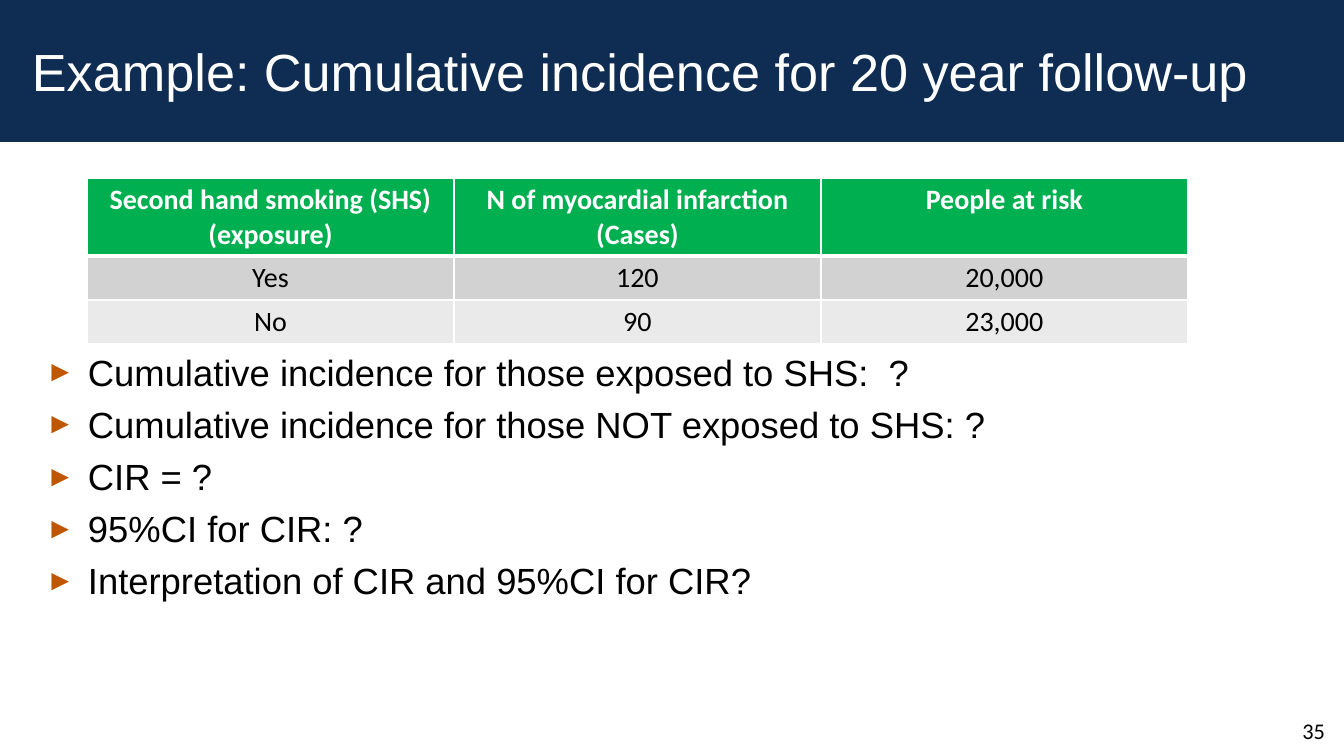
from dataclasses import dataclass

from lxml import etree
from pptx import Presentation
from pptx import util as u
from pptx.dml import color
from pptx.enum import shapes, text
from pptx.oxml import ns

EMU_PER_PX = 914400 / 100.8


def px(length):
    return u.Emu(round(length * EMU_PER_PX))


@dataclass(frozen=True)
class Theme:
    navy: str = "0F2C52"
    white: str = "FFFFFF"
    black: str = "000000"
    green: str = "00B050"
    orange: str = "BF5700"
    bands: tuple = ("D2D2D2", "EAEAEA")
    heading_font: str = "Arial"
    table_font: str = "Calibri"
    title_size: float = 37.3
    bullet_size: int = 26
    table_size: int = 20
    number_size: int = 16


def paint(fill, hex_color):
    fill.solid()
    fill.fore_color.rgb = color.RGBColor.from_string(hex_color)


def add_child(parent, tag, **attributes):
    return etree.SubElement(parent, ns.qn(tag), attributes)


class SlideBuilder:
    def __init__(self, slide, theme):
        self.slide = slide
        self.theme = theme

    def style(self, paragraph, font, size, hex_color, align=text.PP_ALIGN.LEFT, bold=False):
        paragraph.alignment = align
        for run in paragraph.runs:
            run.font.name = font
            run.font.size = u.Pt(size)
            run.font.bold = bold
            run.font.color.rgb = color.RGBColor.from_string(hex_color)

    def band(self, left, top, width, height, hex_color):
        band = self.slide.shapes.add_shape(
            shapes.MSO_SHAPE.RECTANGLE, px(left), px(top), px(width), px(height))
        band.shadow.inherit = False
        paint(band.fill, hex_color)
        band.line.fill.background()

    def text_box(self, box, content, font, size, hex_color, anchor,
                 align=text.PP_ALIGN.LEFT, inset=(10, 5)):
        frame = self.slide.shapes.add_textbox(*map(px, box)).text_frame
        frame.word_wrap = True
        frame.vertical_anchor = anchor
        frame.margin_left = frame.margin_right = px(inset[0])
        frame.margin_top = frame.margin_bottom = px(inset[1])
        frame.text = content
        for paragraph in frame.paragraphs:
            self.style(paragraph, font, size, hex_color, align)
        return frame

    def bullets(self, box, questions):
        theme = self.theme
        frame = self.text_box(box, "\n".join(questions), theme.heading_font,
                              theme.bullet_size, theme.black, text.MSO_ANCHOR.TOP)
        for paragraph in frame.paragraphs:
            paragraph.space_before = u.Pt(6)
            props = paragraph._p.get_or_add_pPr()
            props.set("marL", str(px(42)))
            props.set("indent", str(-px(42)))
            add_child(add_child(props, "a:buClr"), "a:srgbClr", val=theme.orange)
            add_child(props, "a:buSzPct", val="80000")
            add_child(props, "a:buFont", typeface=theme.heading_font)
            add_child(props, "a:buChar", char="►")

    def borders(self, cell, bottom):
        props = cell._tc.get_or_add_tcPr()
        for side, points in (("L", 1), ("R", 1), ("T", 1), ("B", bottom)):
            line = add_child(props, f"a:ln{side}", w=str(u.Pt(points)))
            add_child(add_child(line, "a:solidFill"), "a:srgbClr", val=self.theme.white)

    def table(self, left, top, column_width, row_heights, rows):
        theme = self.theme
        table = self.slide.shapes.add_table(
            len(rows), len(rows[0]), px(left), px(top),
            px(column_width * len(rows[0])), px(sum(row_heights))).table
        for column in table.columns:
            column.width = px(column_width)
        for r, (row, height) in enumerate(zip(rows, row_heights)):
            table.rows[r].height = px(height)
            header = r == 0
            for c, content in enumerate(row):
                cell = table.cell(r, c)
                self.borders(cell, 3 if header else 1)
                paint(cell.fill, theme.green if header else theme.bands[r - 1])
                cell.text_frame.text = content
                for paragraph in cell.text_frame.paragraphs:
                    self.style(paragraph, theme.table_font, theme.table_size,
                               theme.white if header else theme.black,
                               text.PP_ALIGN.CENTER, header)


def main():
    deck = Presentation()
    deck.slide_width, deck.slide_height = px(1344), px(756)
    theme = Theme()
    page = SlideBuilder(deck.slides.add_slide(deck.slide_layouts[6]), theme)

    page.band(0, 0, 1344, 142, theme.navy)
    page.text_box((1243, 704, 82, 40), "35", theme.table_font, theme.number_size,
                  theme.black, text.MSO_ANCHOR.BOTTOM, text.PP_ALIGN.RIGHT, (0, 0))
    page.text_box((22, 8, 1302, 126), "Example: Cumulative incidence for 20 year follow-up",
                  theme.heading_font, theme.title_size, theme.white, text.MSO_ANCHOR.MIDDLE)
    page.bullets((36, 345, 1260, 366), (
        "Cumulative incidence for those exposed to SHS:  ?",
        "Cumulative incidence for those NOT exposed to SHS: ?",
        "CIR = ?",
        "95%CI for CIR: ?",
        "Interpretation of CIR and 95%CI for CIR?",
    ))
    page.table(87, 178, 367, (78, 44, 44), (
        ("Second hand smoking (SHS)\n(exposure)",
         "N of myocardial infarction (Cases)", "People at risk"),
        ("Yes", "120", "20,000"),
        ("No", "90", "23,000"),
    ))
    deck.save("out.pptx")


if __name__ == "__main__":
    main()
